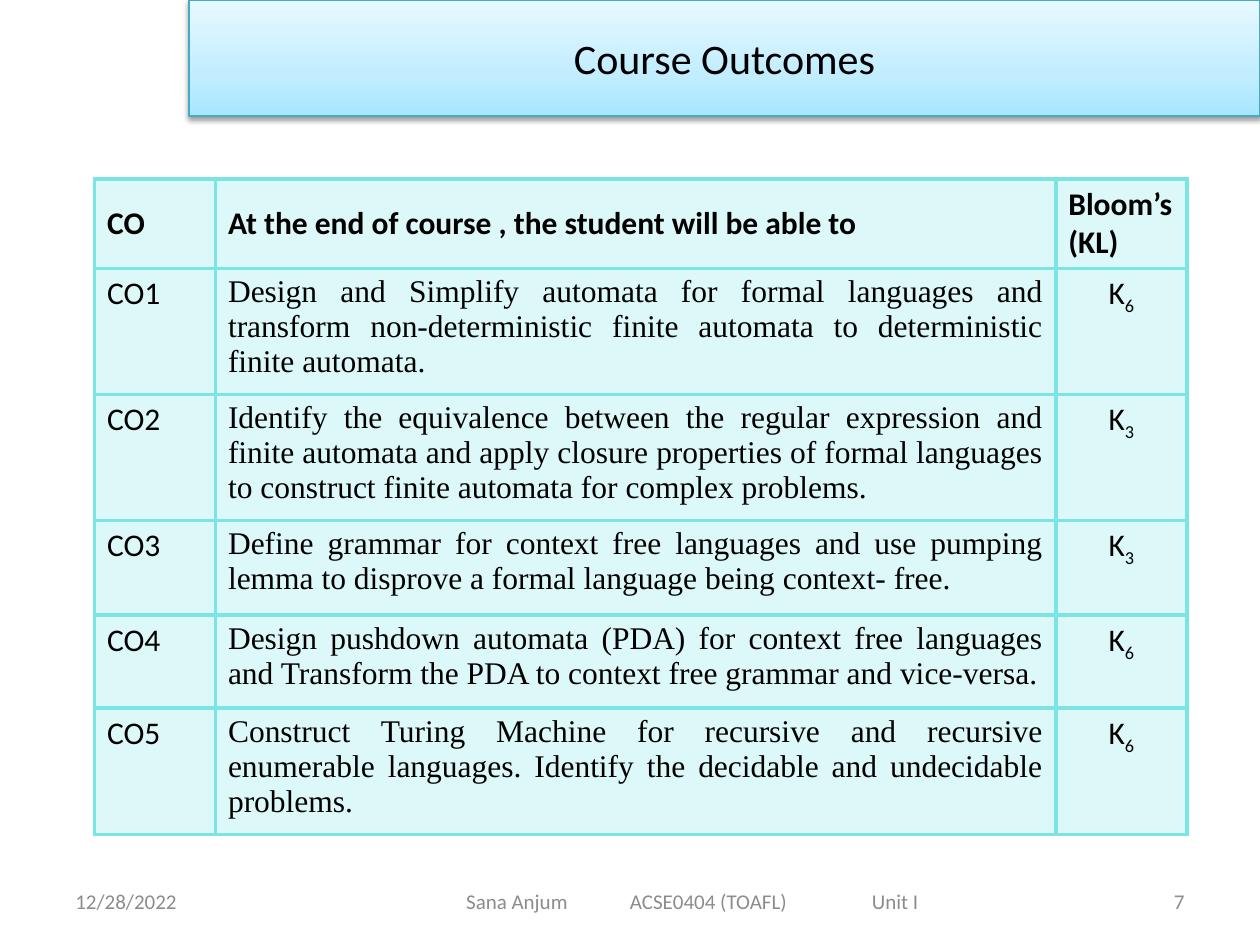
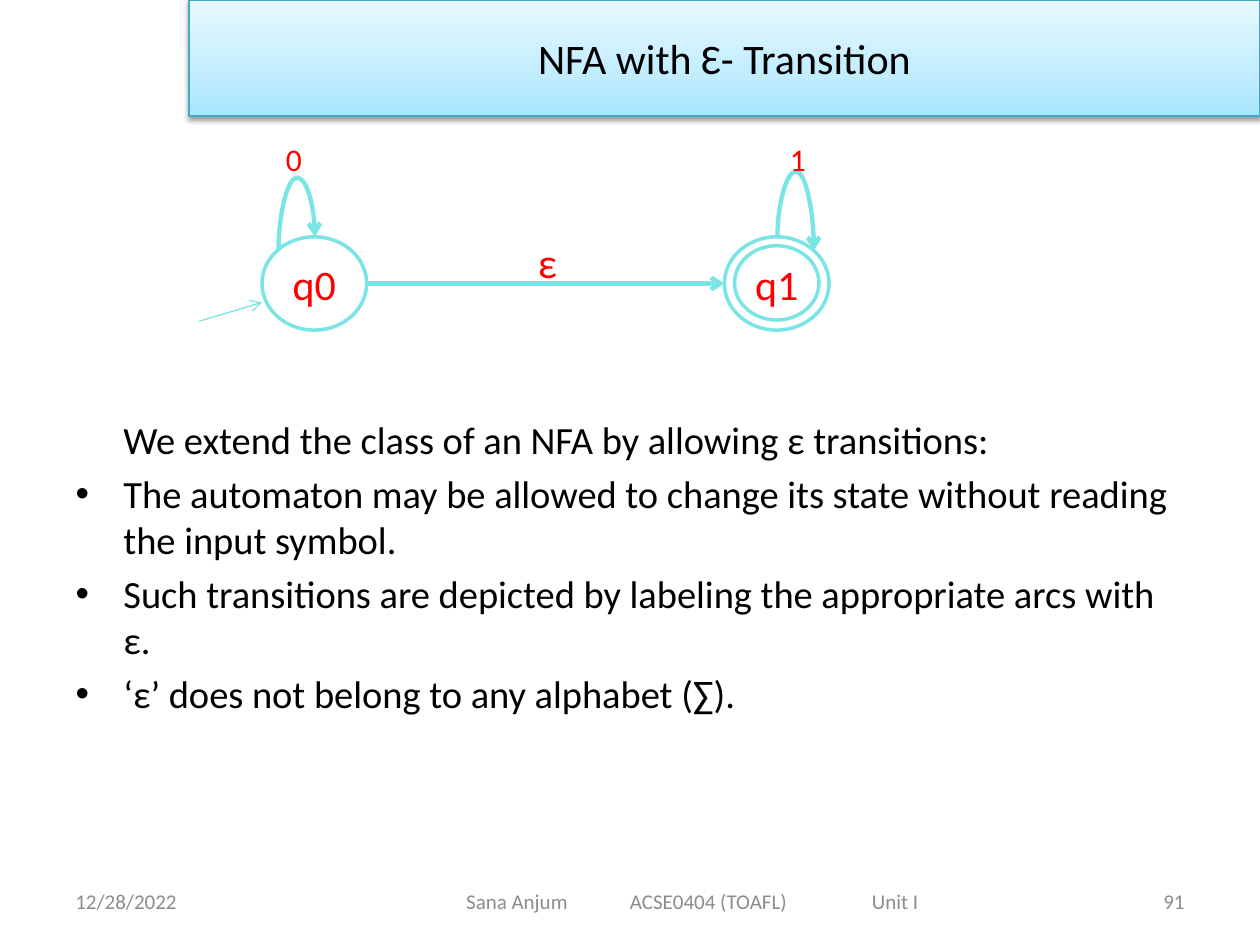
from math import copysign

from lxml import etree
from pptx import Presentation
from pptx.dml.color import RGBColor
from pptx.enum.shapes import MSO_CONNECTOR, MSO_SHAPE
from pptx.enum.text import MSO_ANCHOR, MSO_AUTO_SIZE, PP_ALIGN
from pptx.oxml import parse_xml
from pptx.oxml.ns import nsdecls, qn
from pptx.util import Inches, Pt

LEFT, CENTER, RIGHT, JUSTIFY = PP_ALIGN.LEFT, PP_ALIGN.CENTER, PP_ALIGN.RIGHT, PP_ALIGN.JUSTIFY
TOP, MIDDLE = MSO_ANCHOR.TOP, MSO_ANCHOR.MIDDLE
STRAIGHT, CURVE = MSO_CONNECTOR.STRAIGHT, MSO_CONNECTOR.CURVE
OVAL = MSO_SHAPE.OVAL
NO_AUTOFIT = MSO_AUTO_SIZE.NONE
TITLE_ONLY, TITLE_AND_BODY = 5, 1

COLORS = {"text": "000000", "footer": "8C8C8C", "aqua": "7BE5E5", "label": "FF0000",
          "band_line": "46AAC5", "shadow": "000000"}
BAND_STOPS = [(0, "A7E6FF"), (35, "C1EDFF"), (100, "E7F8FF")]
SANS, SERIF = "Calibri", "Times New Roman"

DATE = "12/28/2022"
FOOTER = "Sana Anjum\tACSE0404 (TOAFL)\tUnit I"
FOOTER_TABS = [1.3, 3.22]

COLUMN_WIDTHS = [0.96, 6.67, 1.04]
ROW_HEIGHTS = [0.71, 0.93, 0.93, 0.75, 0.74, 0.93]
HEADINGS = ["CO", "At the end of course , the student will be able to", "Bloom’s (KL)"]
OUTCOMES = [
    ("Design and Simplify automata for formal languages and transform "
     "non-deterministic finite automata to deterministic finite automata.", "6"),
    ("Identify the equivalence between the regular expression and finite automata and apply "
     "closure properties of formal languages to construct finite automata for complex problems.",
     "3"),
    ("Define grammar for context free languages and use pumping lemma to disprove a formal "
     "language being context- free.", "3"),
    ("Design pushdown automata (PDA) for context free languages and Transform the PDA to "
     "context free grammar and vice-versa.", "6"),
    ("Construct Turing Machine for recursive and recursive enumerable languages. Identify the "
     "decidable and undecidable problems.", "6"),
]

INTRO = "We extend the class of an NFA by allowing ε transitions:"
BULLETS = [
    "The automaton may be allowed to change its state without reading the input symbol.",
    "Such transitions are depicted by labeling the appropriate arcs with ε.",
    "‘ε’ does not belong to any alphabet (∑).",
]


def rgb(name):
    return RGBColor.from_string(COLORS[name])


def style(para, size, color="text", align=LEFT, font=SANS, bold=False):
    para.alignment = align
    para.font.name = font
    para.font.size = Pt(size)
    para.font.bold = bold
    para.font.color.rgb = rgb(color)


def add_text(page, place, text, size, color, align=LEFT, anchor=TOP):
    box = page.shapes.add_textbox(*map(Inches, place))
    frame = box.text_frame
    frame.word_wrap = True
    frame.vertical_anchor = anchor
    frame.text = text
    style(frame.paragraphs[0], size, color, align)
    return frame


# Shared title band and footer

def set_title(page, text):
    title = page.shapes.title
    title.left, title.top, title.width, title.height = map(Inches, (1.5, 0, 8.5, 0.92))
    title.text_frame.text = text
    title.text_frame.vertical_anchor = MIDDLE
    title.text_frame.auto_size = NO_AUTOFIT
    style(title.text_frame.paragraphs[0], 24, align=CENTER)

    properties = title.element.spPr
    stops = "".join(f'<a:gs pos="{position * 1000}"><a:srgbClr val="{color}"/></a:gs>'
                    for position, color in BAND_STOPS)
    properties.append(parse_xml(
        f'<a:gradFill {nsdecls("a")} rotWithShape="1"><a:gsLst>{stops}</a:gsLst>'
        '<a:lin ang="16200000" scaled="0"/></a:gradFill>'))
    title.line.color.rgb = rgb("band_line")
    title.line.width = Pt(0.75)
    properties.append(parse_xml(
        f'<a:effectLst {nsdecls("a")}><a:outerShdw blurRad="{Pt(3.1)}" dist="{Pt(1.6)}" '
        f'dir="5400000" rotWithShape="0"><a:srgbClr val="{COLORS["shadow"]}">'
        '<a:alpha val="38000"/></a:srgbClr></a:outerShdw></a:effectLst>'))


def add_footer(page, number):
    add_text(page, (0.5, 6.95, 2.33, 0.4), DATE, 12, "footer", anchor=MIDDLE)
    add_text(page, (7.17, 6.95, 2.33, 0.4), number, 12, "footer", RIGHT, MIDDLE)

    box = page.shapes.add_textbox(*map(Inches, (2.75, 6.95, 5.5, 0.4)))
    frame = box.text_frame
    frame.word_wrap = True
    frame.vertical_anchor = MIDDLE
    frame.margin_left = Inches(0.95)
    frame.text = FOOTER
    para = frame.paragraphs[0]
    tabs = etree.SubElement(para._p.get_or_add_pPr(), qn("a:tabLst"))
    for position in FOOTER_TABS:
        etree.SubElement(tabs, qn("a:tab"), pos=str(Inches(position)), algn="l")
    style(para, 12, "footer")


def new_page(deck, layout, title, number):
    page = deck.slides.add_slide(deck.slide_layouts[layout])
    set_title(page, title)
    add_footer(page, number)
    return page


# Outcome table

def format_cell(cell):
    properties = cell._tc.get_or_add_tcPr()
    for side in ("lnL", "lnR", "lnT", "lnB"):
        properties.append(parse_xml(
            f'<a:{side} {nsdecls("a")} w="{Pt(2.25)}"><a:solidFill>'
            f'<a:srgbClr val="{COLORS["aqua"]}"/></a:solidFill></a:{side}>'))
    cell.fill.solid()
    cell.fill.fore_color.rgb = rgb("aqua")
    fill_color = properties.find(qn("a:solidFill")).find(qn("a:srgbClr"))
    etree.SubElement(fill_color, qn("a:alpha"), val="25000")


def fill_cell(cell, text, subscript="", anchor=TOP, **look):
    format_cell(cell)
    cell.vertical_anchor = anchor
    para = cell.text_frame.paragraphs[0]
    para.add_run().text = text
    if subscript:
        span = para.add_run()
        span.text = subscript
        span._r.get_or_add_rPr().set("baseline", "-25000")
    style(para, 18, **look)


def add_outcome_table(page):
    frame = page.shapes.add_table(
        len(ROW_HEIGHTS), len(COLUMN_WIDTHS), Inches(0.75), Inches(1.42),
        Inches(sum(COLUMN_WIDTHS)), Inches(sum(ROW_HEIGHTS)))
    table = frame.table
    table.first_row = table.horz_banding = False
    for column, width in zip(table.columns, COLUMN_WIDTHS):
        column.width = Inches(width)
    for row, height in zip(table.rows, ROW_HEIGHTS):
        row.height = Inches(height)

    for index, heading in enumerate(HEADINGS):
        fill_cell(table.cell(0, index), heading, anchor=MIDDLE, bold=True)
    for number, (outcome, level) in enumerate(OUTCOMES, start=1):
        fill_cell(table.cell(number, 0), f"CO{number}")
        fill_cell(table.cell(number, 1), outcome, align=JUSTIFY, font=SERIF)
        fill_cell(table.cell(number, 2), "K", subscript=level, align=CENTER)


# Automaton diagram

def add_oval(page, place, text=""):
    oval = page.shapes.add_shape(OVAL, *map(Inches, place))
    oval.shadow.inherit = False
    oval.fill.background()
    oval.line.color.rgb = rgb("aqua")
    oval.line.width = Pt(2)
    if text:
        frame = oval.text_frame
        frame.margin_left = frame.margin_right = 0
        frame.vertical_anchor = MIDDLE
        frame.text = text
        style(frame.paragraphs[0], 24, "label", CENTER)


def add_arrow(page, start, end, width, kind=STRAIGHT):
    arrow = page.shapes.add_connector(kind, *map(Inches, (*start, *end)))
    arrow.line.color.rgb = rgb("aqua")
    arrow.line.width = Pt(width)
    etree.SubElement(arrow.line._get_or_add_ln(), qn("a:tailEnd"), type="arrow")
    etree.SubElement(arrow.element.spPr, qn("a:effectLst"))
    return arrow


def add_loop(page, start, end, peak):
    """Curved arrow that rises from start to the peak height and falls to end."""
    rise = start[1] - end[1]
    center_x, center_y = (start[0] + end[0]) / 2, (start[1] + end[1]) / 2
    half_width = abs(rise) / 2
    half_height = copysign((end[0] - start[0]) / 2, rise)
    arrow = add_arrow(page, (center_x + half_width, center_y + half_height),
                      (center_x - half_width, center_y - half_height), 2.5, CURVE)
    properties = arrow.element.spPr
    properties.find(qn("a:xfrm")).set("rot", str((90 if rise > 0 else 270) * 60000))
    bend = round((start[1] - peak) / rise * 100000)
    guides = properties.find(qn("a:prstGeom")).get_or_add_avLst()
    etree.SubElement(guides, qn("a:gd"), name="adj1", fmla=f"val {bend}")


def add_automaton(page):
    add_oval(page, (2.08, 1.88, 0.83, 0.74), "q0")
    add_oval(page, (5.75, 1.88, 0.83, 0.74), "q1")
    add_oval(page, (5.83, 1.95, 0.67, 0.59))
    add_arrow(page, (1.58, 2.55), (2.08, 2.4), 0.75)
    add_arrow(page, (2.92, 2.25), (5.75, 2.25), 2.5)
    add_loop(page, (2.21, 1.99), (2.5, 1.88), 1.41)
    add_loop(page, (6.17, 1.88), (6.46, 1.99), 1.36)
    add_text(page, (2.17, 1.06, 0.58, 0.36), "0", 18, "label")
    add_text(page, (6.17, 1.06, 0.58, 0.36), "1", 18, "label")
    add_text(page, (4.17, 1.83, 0.58, 0.5), "ε", 24, "label")


def fill_body(page):
    body = page.placeholders[1]
    body.left, body.top, body.width, body.height = map(Inches, (0.5, 3.25, 9, 3.33))
    frame = body.text_frame
    frame.auto_size = NO_AUTOFIT
    frame.text = "\n".join([INTRO, *BULLETS])
    for index, para in enumerate(frame.paragraphs):
        properties = para._p.get_or_add_pPr()
        properties.set("marL", str(Inches(0.38)))
        properties.set("indent", str(Inches(-0.38 if index else 0)))
        if index:
            etree.SubElement(properties, qn("a:buChar"), char="•")
        else:
            etree.SubElement(properties, qn("a:buNone"))
        para.space_before = Pt(4.4 if index else 0)
        style(para, 22)


def main():
    deck = Presentation()
    deck.slide_width, deck.slide_height = Inches(10), Inches(7.5)

    outcomes_page = new_page(deck, TITLE_ONLY, "Course Outcomes", "7")
    add_outcome_table(outcomes_page)

    transition_page = new_page(deck, TITLE_AND_BODY, "NFA with Ɛ- Transition", "91")
    add_automaton(transition_page)
    fill_body(transition_page)

    deck.save("out.pptx")


if __name__ == "__main__":
    main()
